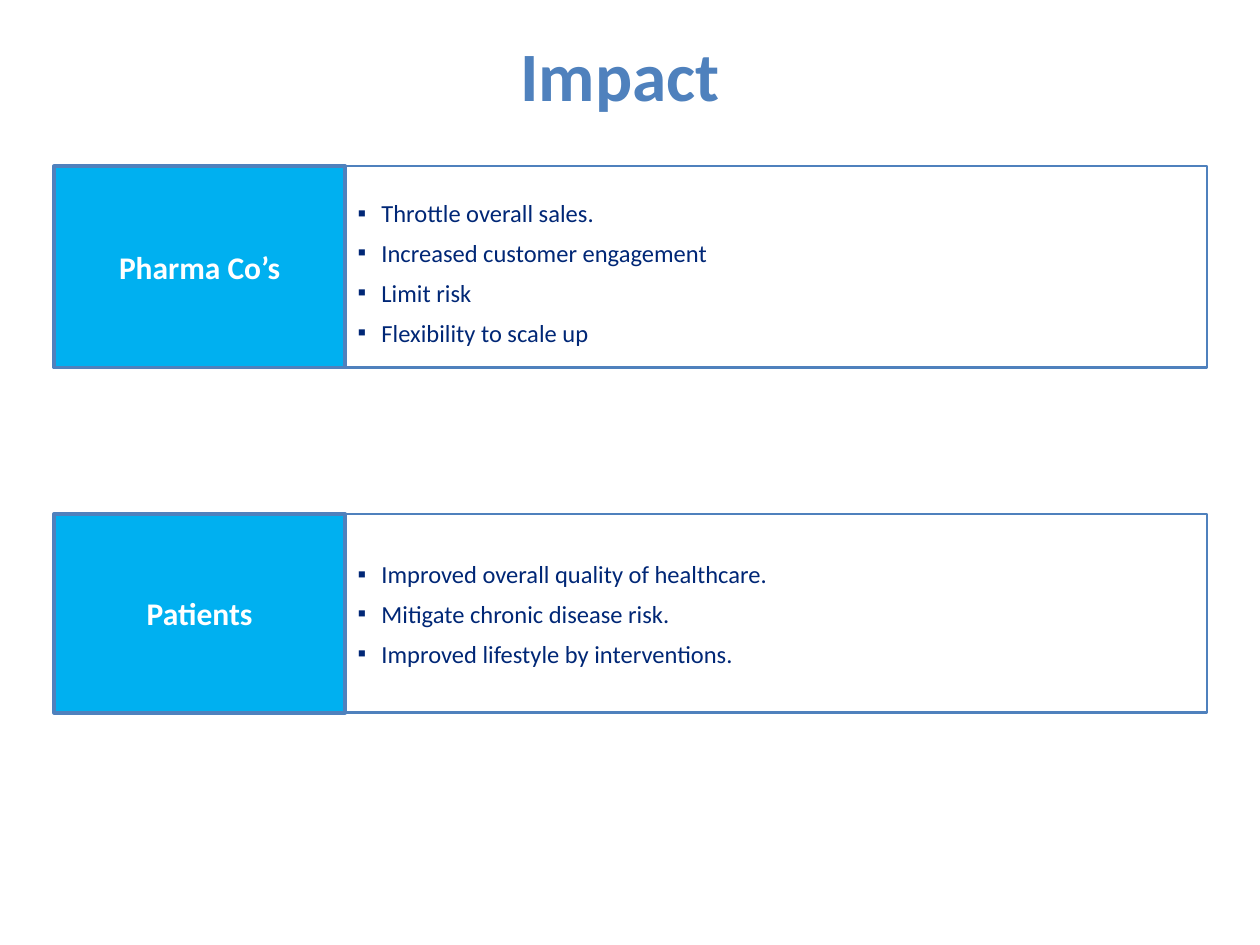
from dataclasses import dataclass

from lxml import etree
from pptx import Presentation
from pptx.dml.color import RGBColor
from pptx.enum.shapes import MSO_SHAPE
from pptx.enum.text import MSO_ANCHOR, PP_ALIGN
from pptx.oxml.ns import qn
from pptx.util import Cm, Pt

RECTANGLE = MSO_SHAPE.RECTANGLE
MIDDLE = MSO_ANCHOR.MIDDLE
CENTER, LEFT = PP_ALIGN.CENTER, PP_ALIGN.LEFT

FONT = "Calibri"
BLUE, CYAN, NAVY, WHITE = "4F81BD", "00B0F0", "002776", "FFFFFF"

BAND_LEFT = 1.09
LABEL_WIDTH = 5.87
POINTS_WIDTH = 17.37
BULLET_INDENT = 0.48


@dataclass
class Band:
    audience: str
    benefits: list[str]
    top: float
    height: float
    inset_top: float = 0.13


BANDS = [
    Band(
        "Pharma Co’s",
        [
            "Throttle overall sales.",
            "Increased customer engagement",
            "Limit risk",
            "Flexibility to scale up",
        ],
        top=3.35,
        height=4.06,
        inset_top=0.35,
    ),
    Band(
        "Patients",
        [
            "Improved overall quality of healthcare.",
            "Mitigate chronic disease risk.",
            "Improved lifestyle by interventions.",
        ],
        top=10.36,
        height=4.01,
    ),
]


def color(hex_code: str) -> RGBColor:
    return RGBColor.from_string(hex_code)


def write(frame, lines: list[str], size: float, hex_code: str, bold: bool,
          align, space_before: float) -> None:
    frame.word_wrap = True
    frame.vertical_anchor = MIDDLE
    frame.text = "\n".join(lines)
    for paragraph in frame.paragraphs:
        paragraph.alignment = align
        paragraph.space_before = Pt(space_before)
        for run in paragraph.runs:
            run.font.name = FONT
            run.font.size = Pt(size)
            run.font.bold = bold
            run.font.color.rgb = color(hex_code)


def add_bullet(paragraph) -> None:
    """Give the paragraph a hanging square bullet."""
    properties = paragraph._p.get_or_add_pPr()
    properties.set("marL", str(Cm(BULLET_INDENT)))
    properties.set("indent", str(-Cm(BULLET_INDENT)))
    bullet_color = etree.SubElement(properties, qn("a:buClr"))
    etree.SubElement(bullet_color, qn("a:srgbClr"), val=NAVY)
    etree.SubElement(properties, qn("a:buFont"), typeface="Arial")
    etree.SubElement(properties, qn("a:buChar"), char="▪")


def add_box(slide, left: float, top: float, width: float, height: float,
            line_width: float, fill: str | None = None):
    box = slide.shapes.add_shape(RECTANGLE, Cm(left), Cm(top), Cm(width), Cm(height))
    box.shadow.inherit = False
    if fill:
        box.fill.solid()
        box.fill.fore_color.rgb = color(fill)
    else:
        box.fill.background()
    box.line.color.rgb = color(BLUE)
    box.line.width = Pt(line_width)
    return box


def add_band(slide, band: Band) -> None:
    label = add_box(slide, BAND_LEFT, band.top, LABEL_WIDTH, band.height, 2, CYAN)
    write(label.text_frame, [band.audience], 18, WHITE, True, CENTER, 3.6)

    points = add_box(slide, BAND_LEFT + LABEL_WIDTH, band.top, POINTS_WIDTH,
                     band.height, 1.5)
    points.text_frame.margin_top = Cm(band.inset_top)
    write(points.text_frame, band.benefits, 14, NAVY, False, LEFT, 6)
    for paragraph in points.text_frame.paragraphs:
        add_bullet(paragraph)


def main() -> None:
    presentation = Presentation()
    presentation.slide_width = Cm(25.4)
    presentation.slide_height = Cm(19.05)
    slide = presentation.slides.add_slide(presentation.slide_layouts[6])

    title = slide.shapes.add_textbox(Cm(0.84), Cm(1.09), Cm(23.32), Cm(0.79))
    write(title.text_frame, ["Impact"], 39.6, BLUE, True, CENTER, 0)

    for band in BANDS:
        add_band(slide, band)

    presentation.save("out.pptx")


if __name__ == "__main__":
    main()
